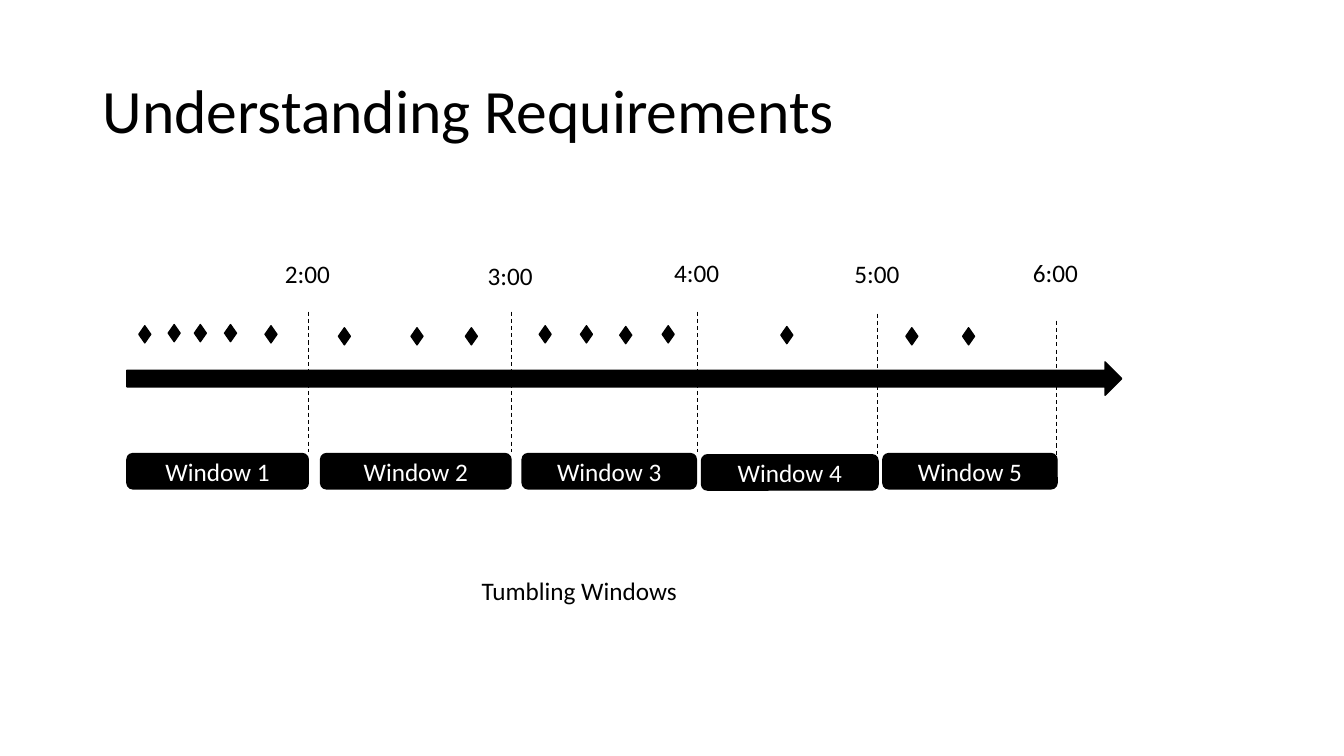
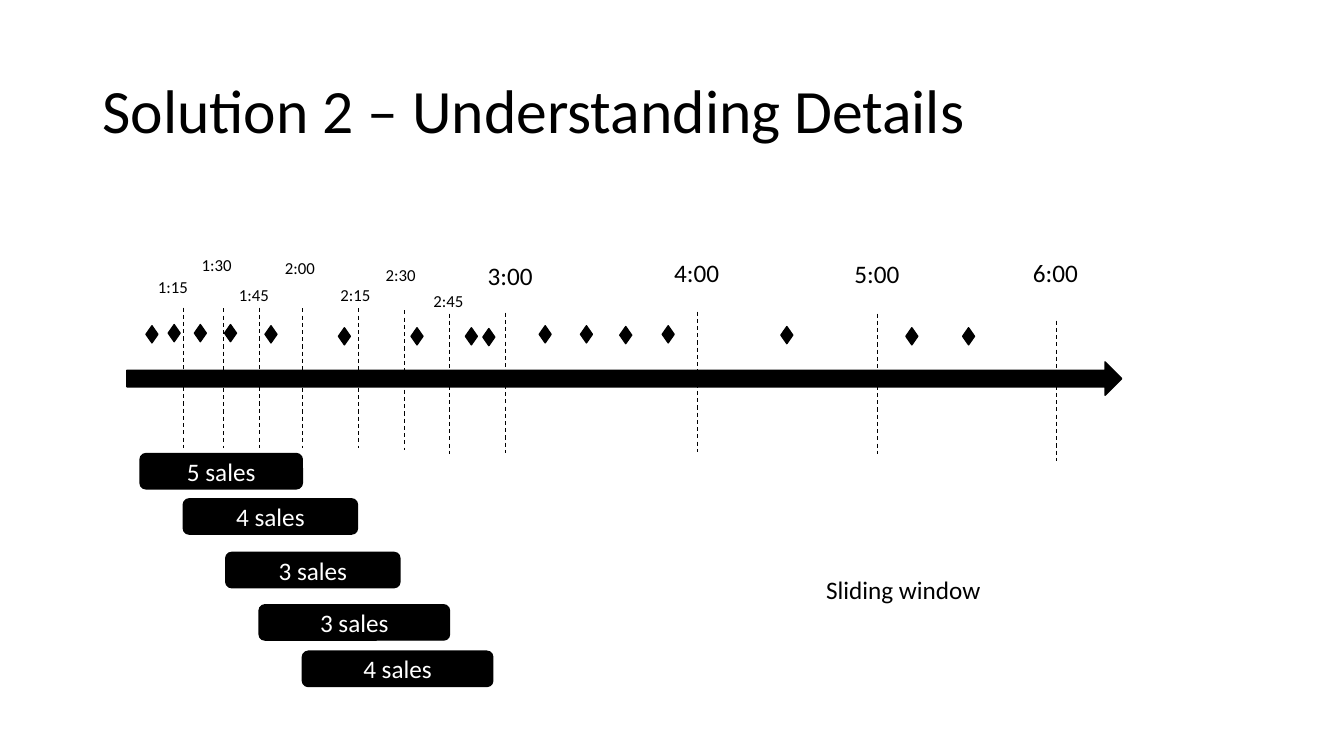
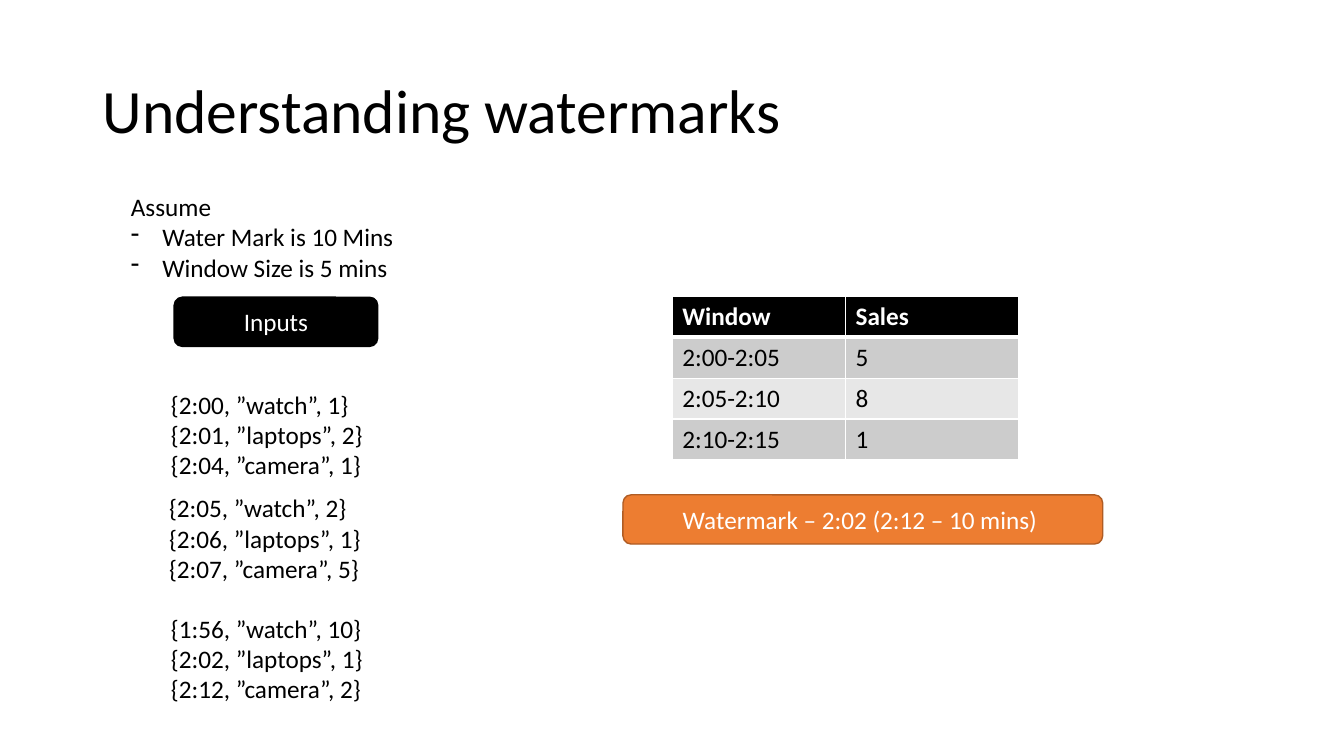
import dataclasses

import pptx
import pptx.dml.color
import pptx.enum.dml
import pptx.enum.shapes
import pptx.enum.text
import pptx.oxml
import pptx.oxml.ns
import pptx.util
from pptx.util import Cm

RGBColor = pptx.dml.color.RGBColor
MSO_SHAPE = pptx.enum.shapes.MSO_SHAPE
PP_ALIGN = pptx.enum.text.PP_ALIGN
MSO_ANCHOR = pptx.enum.text.MSO_ANCHOR

BLACK = RGBColor(0x00, 0x00, 0x00)
WHITE = RGBColor(0xFF, 0xFF, 0xFF)
ORANGE = RGBColor(0xED, 0x7D, 0x31)
DARK_ORANGE = RGBColor(0xAF, 0x5C, 0x24)
DARK_BAND = RGBColor(0xCC, 0xCC, 0xCC)
LIGHT_BAND = RGBColor(0xE7, 0xE7, 0xE7)

FONT = "Calibri"
TITLE_SIZE = 44
BODY_SIZE = 18
SMALL_SIZE = 12

TITLE_BOX = (2.33, 1.01, 29.21, 3.68)
TIMELINE_BOX = (3.2, 9.12, 25.07, 0.84)
TICK_LENGTH = 3.53
LABEL_WIDTH = 1.7
EVENT_SIZE = (0.3, 0.43)
BAR_HEIGHT = 0.89


@dataclasses.dataclass
class Tick:
    """A time mark; lengths in cm from the top left of the timeline arrow."""
    label: str
    x: float
    top: float
    label_left: float
    label_top: float
    size: int = BODY_SIZE


LATE_TICKS = [
    Tick("4:00", 14.38, -1.27, 13.54, -2.77),
    Tick("5:00", 18.92, -1.22, 18.08, -2.74),
    Tick("6:00", 23.42, -1.04, 22.58, -2.77),
]
HOURLY_TICKS = [
    Tick("2:00", 4.57, -1.27, 3.73, -2.74),
    Tick("3:00", 9.68, -1.27, 8.84, -2.69),
] + LATE_TICKS
QUARTERLY_TICKS = [
    Tick("1:15", 1.42, -1.37, 0.53, -2.26, SMALL_SIZE),
    Tick("1:30", 2.44, -1.35, 1.63, -2.82, SMALL_SIZE),
    Tick("1:45", 3.33, -1.37, 2.57, -2.08, SMALL_SIZE),
    Tick("2:00", 4.42, -1.35, 3.73, -2.74, SMALL_SIZE),
    Tick("2:15", 5.84, -1.35, 5.13, -2.06, SMALL_SIZE),
    Tick("2:30", 6.99, -1.3, 6.27, -2.57, SMALL_SIZE),
    Tick("2:45", 8.13, -1.22, 7.47, -1.93, SMALL_SIZE),
    Tick("3:00", 9.55, -1.24, 8.84, -2.69),
] + LATE_TICKS

# Left and top of each sale, in cm from the timeline arrow.
COMMON_SALES = [
    (1.04, -0.94), (1.7, -0.94), (2.46, -0.94), (3.48, -0.91),
    (5.33, -0.86), (7.16, -0.86), (8.53, -0.86), (10.39, -0.91),
    (11.43, -0.91), (12.42, -0.89), (13.49, -0.91), (16.48, -0.89),
    (19.63, -0.86), (21.06, -0.86),
]
TUMBLING_SALES = [(0.3, -0.91)] + COMMON_SALES
SLIDING_SALES = [(0.48, -0.91)] + COMMON_SALES + [(8.97, -0.84)]

# Text, left, top and width of each window bar.
TUMBLING_BARS = [
    ("Window 1", 0, 2.31, 4.57),
    ("Window 2", 4.88, 2.31, 4.8),
    ("Window 3", 9.96, 2.31, 4.39),
    ("Window 4", 14.48, 2.34, 4.45),
    ("Window 5", 19.05, 2.31, 4.39),
]
SLIDING_BARS = [
    ("5 sales", 0.33, 2.31, 4.09),
    ("4 sales", 1.42, 3.45, 4.39),
    ("3 sales", 2.49, 4.8, 4.39),
    ("3 sales", 3.33, 6.12, 4.8),
    ("4 sales", 4.42, 7.29, 4.8),
]


def to_lengths(box):
    """Turn numbers in centimetres into lengths."""
    return [Cm(value) for value in box]


def format_paragraph(paragraph, size=BODY_SIZE, color=BLACK, bold=False):
    """Set the font that a whole paragraph shares."""
    paragraph.font.name = FONT
    paragraph.font.size = pptx.util.Pt(size)
    paragraph.font.color.rgb = color
    paragraph.font.bold = bold


def add_titled_slide(presentation, title):
    """Add a title-only slide with the shared title style."""
    slide = presentation.slides.add_slide(presentation.slide_layouts[5])
    shape = slide.shapes.title
    shape.left, shape.top, shape.width, shape.height = to_lengths(TITLE_BOX)
    frame = shape.text_frame
    frame.text = title
    frame.auto_size = pptx.enum.text.MSO_AUTO_SIZE.NONE
    frame.vertical_anchor = MSO_ANCHOR.MIDDLE
    paragraph = frame.paragraphs[0]
    paragraph.alignment = PP_ALIGN.LEFT
    paragraph.line_spacing = 0.9
    format_paragraph(paragraph, TITLE_SIZE)
    return slide


def add_text(shapes, box, lines, size=BODY_SIZE):
    """Add a wrapping text box with one paragraph per line."""
    text_box = shapes.add_textbox(*to_lengths(box))
    frame = text_box.text_frame
    frame.word_wrap = True
    frame.text = "\n".join(lines)
    for paragraph in frame.paragraphs:
        format_paragraph(paragraph, size)
    return frame


def add_filled_shape(shapes, kind, box, text="", fill=BLACK, outline=BLACK):
    """Add a flat filled shape, with white centred text if any is given."""
    shape = shapes.add_shape(kind, *to_lengths(box))
    shape.shadow.inherit = False
    shape.fill.solid()
    shape.fill.fore_color.rgb = fill
    shape.line.color.rgb = outline
    shape.line.width = pptx.util.Pt(1)
    if text:
        frame = shape.text_frame
        frame.text = text
        frame.vertical_anchor = MSO_ANCHOR.MIDDLE
        frame.paragraphs[0].alignment = PP_ALIGN.CENTER
        format_paragraph(frame.paragraphs[0], color=WHITE)


def add_dashed_line(shapes, x, top, length):
    """Add a thin vertical dashed line."""
    line = shapes.add_connector(
        pptx.enum.shapes.MSO_CONNECTOR.STRAIGHT,
        *to_lengths((x, top, x, top + length)))
    line.line.color.rgb = BLACK
    line.line.width = pptx.util.Pt(0.75)
    line.line.dash_style = pptx.enum.dml.MSO_LINE.DASH
    properties = line._element.spPr
    properties.append(pptx.oxml.parse_xml(
        f"<a:effectLst {pptx.oxml.ns.nsdecls('a')}/>"))


def add_timeline(shapes, box, ticks, sales, bars):
    """Draw the arrow in the box, then its ticks, sales and window bars."""
    left, top = box[:2]
    add_filled_shape(shapes, MSO_SHAPE.RIGHT_ARROW, box)
    for tick in ticks:
        add_dashed_line(shapes, left + tick.x, top + tick.top, TICK_LENGTH)
        label_height = 1.03 if tick.size == BODY_SIZE else 0.77
        label_box = (left + tick.label_left, top + tick.label_top,
                     LABEL_WIDTH, label_height)
        add_text(shapes, label_box, [tick.label], tick.size)
    for sale_left, sale_top in sales:
        add_filled_shape(shapes, MSO_SHAPE.DIAMOND,
                         (left + sale_left, top + sale_top, *EVENT_SIZE))
    for text, bar_left, bar_top, width in bars:
        bar_box = (left + bar_left, top + bar_top, width, BAR_HEIGHT)
        add_filled_shape(shapes, MSO_SHAPE.ROUNDED_RECTANGLE, bar_box, text)


def add_dash_bullet(paragraph):
    """Give a paragraph a dash with a hanging indent."""
    properties = paragraph._p.get_or_add_pPr()
    indent = Cm(0.79)
    properties.set("marL", str(indent))
    properties.set("indent", str(-indent))
    bullet = pptx.oxml.parse_xml(
        f'<a:buChar {pptx.oxml.ns.nsdecls("a")} char="-"/>')
    properties.insert_element_before(
        bullet, "a:tabLst", "a:defRPr", "a:extLst")


def add_assumptions(slide, box):
    """Add the assumptions: a lead line and dashed points."""
    frame = add_text(slide.shapes, box, [
        "Assume", "Water Mark is 10 Mins", "Window Size is 5 mins"])
    for paragraph in frame.paragraphs[1:]:
        add_dash_bullet(paragraph)


def set_cell_borders(cell, widths):
    """Draw white borders; widths are points for left, right, top, bottom."""
    properties = cell._tc.get_or_add_tcPr()
    for side, width in zip("LRTB", widths):
        properties.append(pptx.oxml.parse_xml(
            f'<a:ln{side} {pptx.oxml.ns.nsdecls("a")} '
            f'w="{pptx.util.Pt(width)}"><a:solidFill>'
            f'<a:srgbClr val="{WHITE}"/></a:solidFill></a:ln{side}>'))


def add_sales_table(slide, box, rows):
    """Add a table with a black header and banded rows."""
    table = slide.shapes.add_table(
        len(rows), len(rows[0]), *to_lengths(box)).table
    for row_index, row in enumerate(rows):
        is_header = row_index == 0
        band = DARK_BAND if row_index % 2 else LIGHT_BAND
        top_width = 3 if row_index == 1 else 1
        bottom_width = 3 if is_header else 1
        for column_index, text in enumerate(row):
            cell = table.cell(row_index, column_index)
            cell.text = text
            set_cell_borders(cell, (1, 1, top_width, bottom_width))
            cell.fill.solid()
            cell.fill.fore_color.rgb = BLACK if is_header else band
            format_paragraph(cell.text_frame.paragraphs[0],
                             color=WHITE if is_header else BLACK,
                             bold=is_header)


def add_inputs(slide, box):
    """Add the inputs heading and its three batches of records."""
    left, top, width, height = box
    add_filled_shape(slide.shapes, MSO_SHAPE.ROUNDED_RECTANGLE,
                     (left + 0.33, top, 5.13, 1.24), "Inputs")
    batches = [
        (0, 2.19, [("2:00", "watch", 1), ("2:01", "laptops", 2),
                   ("2:04", "camera", 1)]),
        (-0.05, 4.8, [("2:05", "watch", 2), ("2:06", "laptops", 1),
                      ("2:07", "camera", 5)]),
        (0, 7.83, [("1:56", "watch", 10), ("2:02", "laptops", 1),
                   ("2:12", "camera", 2)]),
    ]
    batch_height = height - batches[-1][1]
    for shift, offset, records in batches:
        lines = [f"{{{time}, ”{item}”, {count}}}"
                 for time, item, count in records]
        add_text(slide.shapes,
                 (left + shift, top + offset, width, batch_height), lines)


def build_tumbling_slide(presentation):
    """Build the slide on tumbling windows."""
    slide = add_titled_slide(presentation, "Understanding Requirements")
    group = slide.shapes.add_group_shape()
    add_timeline(group.shapes, TIMELINE_BOX,
                 HOURLY_TICKS, TUMBLING_SALES, TUMBLING_BARS)
    add_text(slide.shapes, (11.89, 14.38, 5.49, 1.03), ["Tumbling Windows"])


def build_sliding_slide(presentation):
    """Build the slide on sliding windows."""
    slide = add_titled_slide(
        presentation, "Solution 2 – Understanding Details")
    add_timeline(slide.shapes, TIMELINE_BOX,
                 QUARTERLY_TICKS, SLIDING_SALES, SLIDING_BARS)
    add_text(slide.shapes, (20.57, 14.35, 7.67, 1.03), ["Sliding window"])


def build_watermark_slide(presentation):
    """Build the slide on watermarks."""
    slide = add_titled_slide(presentation, "Understanding watermarks")
    add_assumptions(slide, (3.05, 4.7, 9.88, 2.57))
    add_inputs(slide, (4.06, 7.49, 8.86, 11.16))
    add_filled_shape(slide.shapes, MSO_SHAPE.ROUNDED_RECTANGLE,
                     (15.7, 12.47, 12.09, 1.24),
                     "Watermark – 2:02 (2:12 – 10 mins) ",
                     ORANGE, DARK_ORANGE)
    add_sales_table(slide, (16.94, 7.47, 8.74, 4.12), [
        ("Window", "Sales"),
        ("2:00-2:05", "5"),
        ("2:05-2:10", "8"),
        ("2:10-2:15", "1"),
    ])


def main():
    """Build and save the presentation."""
    presentation = pptx.Presentation()
    presentation.slide_width = Cm(33.87)
    presentation.slide_height = Cm(19.05)
    build_tumbling_slide(presentation)
    build_sliding_slide(presentation)
    build_watermark_slide(presentation)
    presentation.save("out.pptx")


main()
